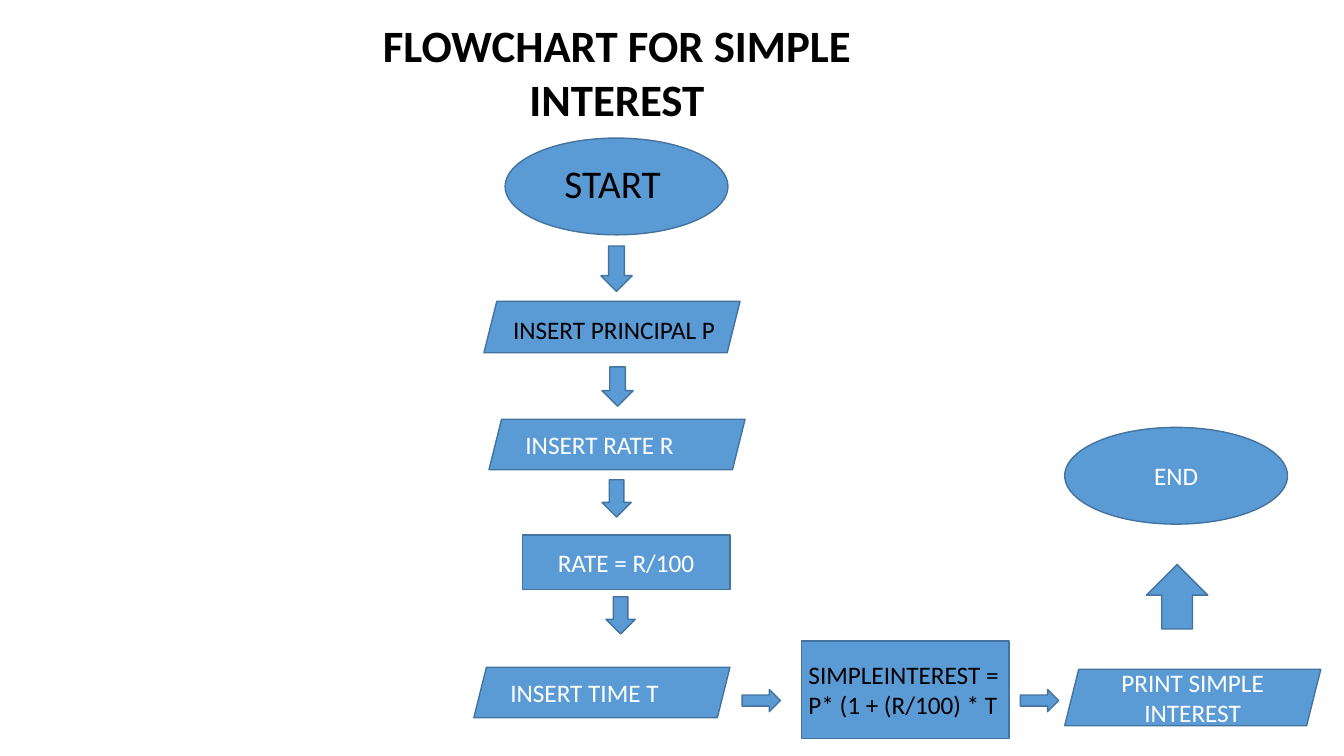
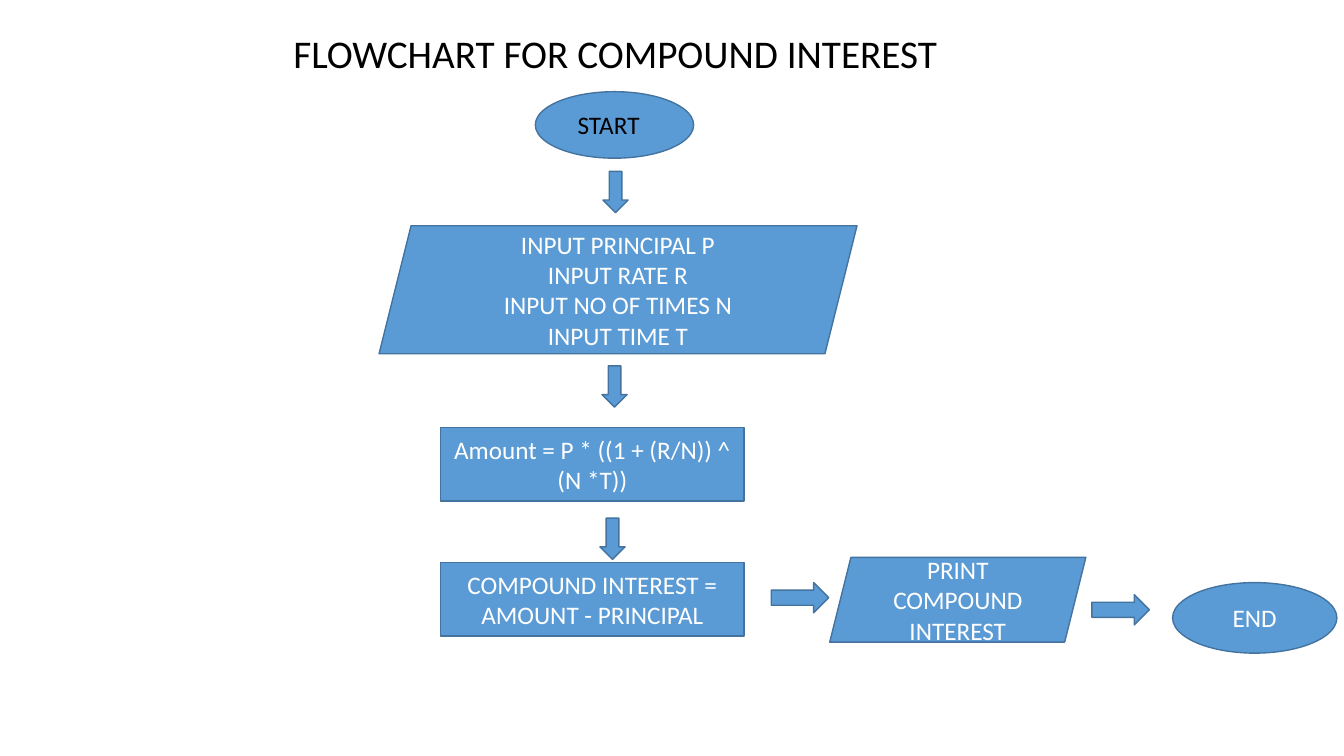
from pptx import Presentation
from pptx.dml.color import RGBColor
from pptx.enum.shapes import MSO_SHAPE
from pptx.enum.text import MSO_ANCHOR, MSO_AUTO_SIZE, PP_ALIGN
from pptx.util import Inches, Pt

# Shared style
FONT = "Calibri"
BLUE, EDGE, BLACK, WHITE = "5B9BD5", "43739E", "000000", "FFFFFF"
OVAL, BOX, SLANT = MSO_SHAPE.OVAL, MSO_SHAPE.RECTANGLE, MSO_SHAPE.PARALLELOGRAM
DOWN, RIGHT, UP = MSO_SHAPE.DOWN_ARROW, MSO_SHAPE.RIGHT_ARROW, MSO_SHAPE.UP_ARROW
LEFT, CENTER = PP_ALIGN.LEFT, PP_ALIGN.CENTER
SLANT_W = 2.54


def rgb(color):
    return RGBColor.from_string(color)


def write(tf, lines, size=18, color=WHITE, align=CENTER, bold=False,
          anchor=MSO_ANCHOR.MIDDLE):
    """Fill a text frame, one paragraph per line."""
    tf.word_wrap = True
    tf.auto_size = MSO_AUTO_SIZE.NONE
    tf.vertical_anchor = anchor
    for i, line in enumerate(lines):
        p = tf.add_paragraph() if i else tf.paragraphs[0]
        p.alignment = align
        r = p.add_run()
        r.text = line
        r.font.name = FONT
        r.font.size = Pt(size)
        r.font.bold = bold
        r.font.color.rgb = rgb(color)


def add_title(s, box, text, size, bold=False):
    title = s.shapes.title
    title.left, title.top, title.width, title.height = map(Inches, box)
    write(title.text_frame, [text], size, BLACK, bold=bold, anchor=MSO_ANCHOR.TOP)


def add_node(s, kind, x, y, w, h, *lines, align=CENTER):
    """Add a flowchart symbol or block arrow, with optional text."""
    sp = s.shapes.add_shape(kind, Inches(x), Inches(y), Inches(w), Inches(h))
    sp.shadow.inherit = False
    sp.fill.solid()
    sp.fill.fore_color.rgb = rgb(BLUE)
    sp.line.color.rgb = rgb(EDGE)
    sp.line.width = Pt(1)
    if lines:
        write(sp.text_frame, lines, align=align)


def add_label(s, x, y, w, h, text, size=18):
    """Add black text that lies over a symbol."""
    sp = s.shapes.add_textbox(Inches(x), Inches(y), Inches(w), Inches(h))
    write(sp.text_frame, [text], size, BLACK, LEFT, anchor=MSO_ANCHOR.TOP)


def simple_input_column(s, x, y):
    """Start, the three inputs and the rate conversion, top to bottom."""
    add_node(s, OVAL, x + 0.31, y, 2.21, 0.96)
    add_label(s, x + 0.8, y + 0.16, 1.43, 0.57, "START", 28)
    add_node(s, SLANT, x + 0.1, y + 1.62, SLANT_W, 0.51)
    add_label(s, x + 0.29, y + 1.7, 2.32, 0.4, "INSERT PRINCIPAL P")
    add_node(s, SLANT, x + 0.15, y + 2.79, SLANT_W, 0.5, "INSERT RATE R", align=LEFT)
    add_node(s, BOX, x + 0.48, y + 3.94, 2.06, 0.54, "RATE = R/100")
    add_node(s, SLANT, x, y + 5.25, SLANT_W, 0.5, "INSERT TIME T", align=LEFT)
    for dx, dy, w, h in [(1.26, 1.07, 0.31, 0.45), (1.27, 2.27, 0.31, 0.39),
                         (1.27, 3.39, 0.29, 0.37), (1.31, 4.55, 0.29, 0.37)]:
        add_node(s, DOWN, x + dx, y + dy, w, h)


def simple_result_branch(s, x, y):
    """Formula and printed result to the right, then up to the end."""
    for dx in (0, 2.76):
        add_node(s, RIGHT, x + dx, y + 2.6, 0.38, 0.22)
    add_node(s, BOX, x + 0.59, y + 2.12, 2.06, 0.97)
    add_label(s, x + 0.56, y + 2.25, 2.11, 0.71, "SIMPLEINTEREST = P* (1 + (R/100) * T")
    add_node(s, SLANT, x + 3.2, y + 2.4, SLANT_W, 0.56, "PRINT SIMPLE INTEREST")
    add_node(s, UP, x + 4.01, y + 1.36, 0.61, 0.64)
    add_node(s, OVAL, x + 3.2, y, 2.21, 0.96, "END")


def compound_column(s, x, y):
    """Start, all inputs and the two formulas, top to bottom."""
    add_node(s, OVAL, x + 1.55, y, 1.57, 0.66)
    add_label(s, x + 1.87, y + 0.13, 1.16, 0.4, "START")
    add_node(s, SLANT, x, y + 1.33, 4.74, 1.27, "INPUT PRINCIPAL P",
             "INPUT RATE R", "INPUT NO OF TIMES N", "INPUT TIME T")
    for dy, text in [(3.33, "Amount = P * ((1 + (R/N)) ^ (N *T))"),
                     (4.67, "COMPOUND INTEREST = AMOUNT - PRINCIPAL")]:
        add_node(s, BOX, x + 0.61, y + dy, 3.01, 0.73, text)
    for dx, dy in [(2.22, 0.79), (2.21, 2.72), (2.19, 4.23)]:
        add_node(s, DOWN, x + dx, y + dy, 0.25, 0.41)


def compound_result_row(s, x, y):
    """Printed result and end, left to right."""
    for dx, dy in [(0, 0.25), (3.18, 0.37)]:
        add_node(s, RIGHT, x + dx, y + dy, 0.57, 0.3)
    add_node(s, SLANT, x + 0.58, y, SLANT_W, 0.84, "PRINT COMPOUND INTEREST")
    add_node(s, OVAL, x + 3.98, y + 0.25, 1.63, 0.7, "END")


def main():
    prs = Presentation()
    prs.slide_width, prs.slide_height = Inches(13.33), Inches(7.5)
    title_only = prs.slide_layouts[5]

    # Simple interest
    s = prs.slides.add_slide(title_only)
    add_title(s, (3.49, 0.13, 5.26, 1.18), "FLOWCHART FOR SIMPLE INTEREST", 32, bold=True)
    simple_input_column(s, 4.7, 1.37)
    simple_result_branch(s, 7.36, 4.24)

    # Compound interest
    s = prs.slides.add_slide(title_only)
    add_title(s, (2.7, 0.24, 6.8, 0.57), "FLOWCHART FOR COMPOUND INTEREST", 28)
    compound_column(s, 3.76, 0.91)
    compound_result_row(s, 7.65, 5.53)

    prs.save("out.pptx")


if __name__ == "__main__":
    main()
